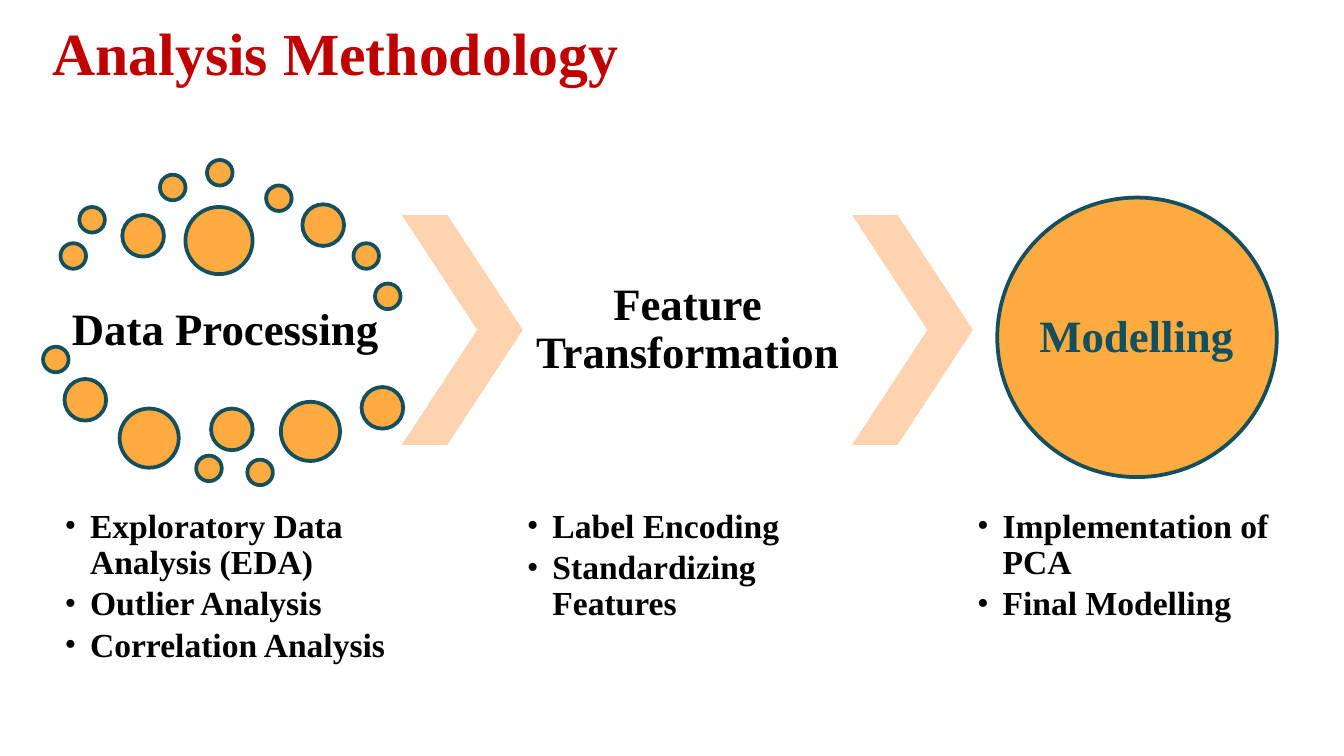
from lxml.etree import SubElement
from pptx import Presentation
from pptx.dml.color import RGBColor
from pptx.enum.shapes import MSO_SHAPE as Shape
from pptx.enum.text import MSO_ANCHOR as Anchor, MSO_AUTO_SIZE as Fit, PP_ALIGN as Align
from pptx.oxml.ns import qn
from pptx.util import Inches, Pt

RED = RGBColor(0xC0, 0x00, 0x00)
BLACK = RGBColor(0x00, 0x00, 0x00)
ORANGE = RGBColor(0xFF, 0xAB, 0x40)
PEACH = RGBColor(0xFF, 0xD2, 0xB0)
TEAL = RGBColor(0x13, 0x4F, 0x5C)

SMALL, MID, LARGE, HUGE = 0.19, 0.31, 0.44, 0.5
DOTS = {
    SMALL: [(0.45, 1.81), (0.59, 1.54), (1.19, 1.3), (1.54, 1.19), (1.98, 1.38),
            (2.63, 1.81), (2.79, 2.11), (0.32, 2.58), (1.46, 3.39), (1.84, 3.42)],
    MID: [(0.91, 1.6), (2.25, 1.52), (0.48, 2.82), (1.57, 3.04), (2.69, 2.88)],
    LARGE: [(0.89, 3.04), (2.09, 2.99)],
    HUGE: [(1.38, 1.54)],
}
WIDTH = 2.45
STEPS = [
    (0.45, ["Exploratory Data Analysis (EDA)", "Outlier Analysis", "Correlation Analysis"]),
    (3.89, ["Label Encoding", "Standardizing Features"]),
    (7.24, ["Implementation of PCA", "Final Modelling"]),
]


class Deck:
    """Holds the style and the current slide."""

    def __init__(self):
        self.font = "Times New Roman"
        self.show = Presentation()
        self.show.slide_width = Inches(10)
        self.show.slide_height = Inches(10) * 9 // 16
        self.slide = self.show.slides.add_slide(self.show.slide_layouts[5])

    def style(self, para, size, color):
        for run in para.runs:
            font = run.font
            font.name, font.size, font.bold = self.font, Pt(size), True
            font.color.rgb = color

    def frame(self, shape, inset, anchor):
        frame = shape.text_frame
        frame.word_wrap = True
        frame.auto_size = Fit.NONE
        frame.vertical_anchor = anchor
        frame.margin_left = frame.margin_right = Inches(inset)
        frame.margin_top = frame.margin_bottom = Inches(inset)
        return frame

    def title(self, text, *box):
        shape = self.slide.shapes.title
        shape.left, shape.top, shape.width, shape.height = map(Inches, box)
        frame = self.frame(shape, 0.1, Anchor.TOP)
        frame.text = text
        para = frame.paragraphs[0]
        para.alignment = Align.LEFT
        self.style(para, 32, RED)

    def label(self, text, *box, color=BLACK, inset=0.03):
        shape = self.slide.shapes.add_textbox(*map(Inches, box))
        frame = self.frame(shape, inset, Anchor.MIDDLE)
        frame.text = text
        para = frame.paragraphs[0]
        para.alignment = Align.CENTER
        para.line_spacing = 0.9
        self.style(para, 24, color)

    def list(self, items, *box):
        shape = self.slide.shapes.add_textbox(*map(Inches, box))
        frame = self.frame(shape, 0.03, Anchor.TOP)
        frame.text = "\n".join(items)
        for para in frame.paragraphs:
            props = para._p.get_or_add_pPr()
            props.set("marL", str(Inches(0.19)))
            props.set("indent", str(-Inches(0.19)))
            tint = SubElement(props, qn("a:buClr"))
            SubElement(tint, qn("a:srgbClr")).set("val", str(BLACK))
            SubElement(props, qn("a:buFont")).set("typeface", self.font)
            SubElement(props, qn("a:buChar")).set("char", "•")
            para.level = 1
            para.line_spacing = 0.9
            para.space_after = Pt(2.7)
            self.style(para, 18, BLACK)

    def shape(self, kind, fill, *box):
        shape = self.slide.shapes.add_shape(kind, *map(Inches, box))
        shape.shadow.inherit = False
        shape.fill.solid()
        shape.fill.fore_color.rgb = fill
        return shape

    def disc(self, left, top, size):
        line = self.shape(Shape.OVAL, ORANGE, left, top, size, size).line
        line.color.rgb = TEAL
        line.width = Pt(2)

    def arrow(self, left):
        shape = self.shape(Shape.CHEVRON, PEACH, left, 1.6, 0.9, 1.71)
        shape.adjustments[0] = 0.623
        shape.line.fill.background()


def main():
    deck = Deck()
    deck.title("Analysis Methodology", 0.29, 0.02, 4.6, 0.63)
    for size, spots in DOTS.items():
        for left, top in spots:
            deck.disc(left, top, size)
    deck.label("Data Processing", 0.45, 2.06, WIDTH, 0.81)
    deck.arrow(2.99)
    deck.label("Feature Transformation", 3.89, 1.6, WIDTH, 1.71)
    deck.arrow(6.34)
    deck.disc(7.42, 1.47, 2.08)
    deck.label("Modelling", 7.72, 1.78, 1.47, 1.47, color=TEAL, inset=0)
    for left, items in STEPS:
        deck.list(items, left, 3.76, WIDTH, 1.51)
    deck.show.save("out.pptx")


if __name__ == "__main__":
    main()
